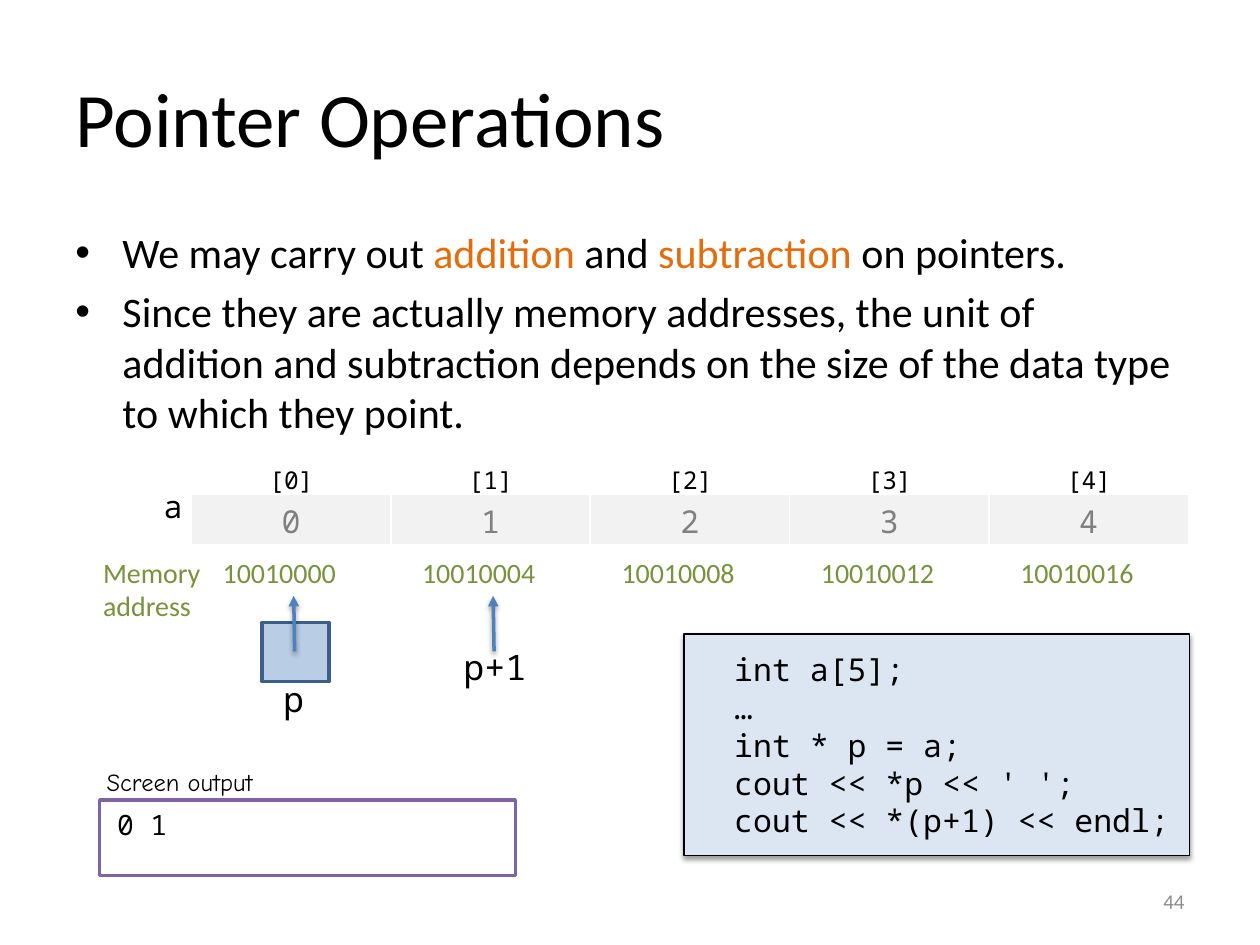
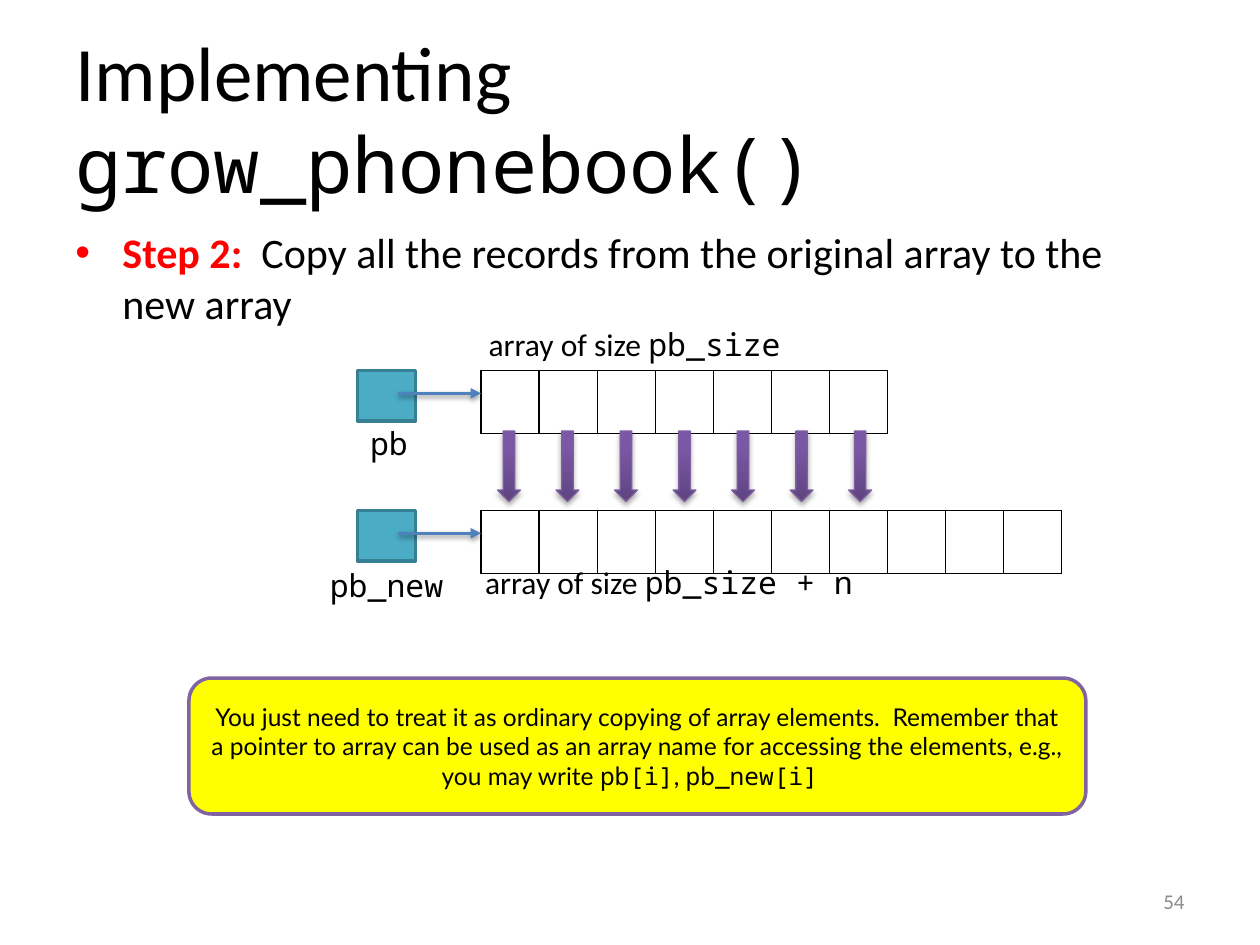
"""Builds two lecture slides on pointer operations and growing an array."""
from pptx import Presentation
from pptx.dml.color import RGBColor
from pptx.enum.shapes import MSO_CONNECTOR, MSO_SHAPE
from pptx.enum.text import MSO_ANCHOR, PP_ALIGN
from pptx.oxml import parse_xml
from pptx.oxml.ns import nsdecls
from pptx.util import Cm, Pt

RECT, ROUND, DOWN = MSO_SHAPE.RECTANGLE, MSO_SHAPE.ROUNDED_RECTANGLE, MSO_SHAPE.DOWN_ARROW
STRAIGHT = MSO_CONNECTOR.STRAIGHT
TOP, MIDDLE = MSO_ANCHOR.TOP, MSO_ANCHOR.MIDDLE
LEFT, CENTER, RIGHT = PP_ALIGN.LEFT, PP_ALIGN.CENTER, PP_ALIGN.RIGHT

SANS, MONO, HAND, NOTE = "Calibri", "Noto Sans Mono", "Comic Neue", "Lato"
BLACK, WHITE, GREY, PALE = "000000", "FFFFFF", "808080", "F2F2F2"
ORANGE, RED, GREEN, YELLOW = "E46C0A", "FF0000", "77933C", "FFFF00"
BLUE, PURPLE, PAGE_GREY = "4F81BD", "8064A2", "8B8B8B"

CODE_FONT = {"font": MONO}
KEYWORD = {"color": ORANGE}

POINTERS = {
    "title": ["Pointer Operations"],
    "body": [
        ["We may carry out ", ("addition", KEYWORD), " and ",
         ("subtraction", KEYWORD), " on pointers."],
        ["Since they are actually memory addresses, the unit of addition and subtraction "
         "depends on the size of the data type to which they point."],
    ],
    "page": "44",
}
VALUES = ["0", "1", "2", "3", "4"]
FIRST_ADDRESS, INT_SIZE = 10010000, 4
CODE = [
    "  int a[5];",
    "  …",
    "  int * p = a;",
    "  cout << *p << ' ';",
    "  cout << *(p+1) << endl;",
]

GROW = {
    "title": ["Implementing ", ("grow_phonebook()", CODE_FONT)],
    "body": [[("Step 2:  ", {"color": RED, "bold": True}),
              "Copy all the records from the original array to the new array"]],
    "page": "54",
}
OLD_SIZE, NEW_SIZE = 7, 10
ADVICE = [
    "You just need to treat it as ordinary copying of array elements.  Remember that a pointer "
    "to array can be used as an array name for accessing the elements, e.g., you may write ",
    ("pb[i]", CODE_FONT), ", ", ("pb_new[i] ", CODE_FONT),
]


def rgb(color):
    """Turn a hex string into a colour."""
    return RGBColor.from_string(color)


def write(tf, paragraphs, size=18, font=SANS, color=BLACK, align=LEFT, before=0, bullet=False):
    """Fill a text frame with paragraphs of plain or individually formatted runs."""
    for i, runs in enumerate(paragraphs):
        p = tf.paragraphs[0] if i == 0 else tf.add_paragraph()
        p.alignment = align
        if bullet:
            pPr = p._p.get_or_add_pPr()
            pPr.set("marL", str(Cm(0.95)))
            pPr.set("indent", str(-Cm(0.95)))
            pPr.append(parse_xml(f'<a:buFont {nsdecls("a")} typeface="Arial"/>'))
            pPr.append(parse_xml(f'<a:buChar {nsdecls("a")} char="•"/>'))
        p.space_before = Pt(before if i else 0)
        for run in [runs] if isinstance(runs, str) else runs:
            text, style = (run, {}) if isinstance(run, str) else run
            r = p.add_run()
            r.text = text
            r.font.size = Pt(size)
            r.font.name = style.get("font", font)
            r.font.bold = style.get("bold", False)
            r.font.color.rgb = rgb(style.get("color", color))


def add_text(slide, box, paragraphs, anchor=TOP, right=0.25, **style):
    """Add a wrapping text box."""
    tf = slide.shapes.add_textbox(*map(Cm, box)).text_frame
    tf.word_wrap = True
    tf.vertical_anchor = anchor
    tf.margin_right = Cm(right)
    write(tf, paragraphs, **style)


def add_label(slide, box, runs, **style):
    """Add a short label that needs no right margin."""
    add_text(slide, box, [runs], right=0, **style)


def add_box(slide, kind, box, fill, line, width=2):
    """Add a preset shape with a solid fill and an outline."""
    s = slide.shapes.add_shape(kind, *map(Cm, box))
    s.shadow.inherit = False
    s.fill.solid()
    s.fill.fore_color.rgb = rgb(fill)
    s.line.color.rgb = rgb(line)
    s.line.width = Pt(width)
    s.text_frame.word_wrap = True
    s.text_frame.vertical_anchor = MIDDLE
    return s


def add_shadow(s, alpha=38, distance=1.6):
    """Give an outlined shape a soft shadow below it."""
    spPr = s._element.spPr
    for old in spPr.xpath("a:effectLst"):
        spPr.remove(old)
    spPr.append(parse_xml(
        f'<a:effectLst {nsdecls("a")}><a:outerShdw blurRad="{Pt(3.1)}" dist="{Pt(distance)}" '
        f'dir="5400000" rotWithShape="0"><a:srgbClr val="{BLACK}">'
        f'<a:alpha val="{alpha * 1000}"/></a:srgbClr></a:outerShdw></a:effectLst>'))


def add_arrow(slide, *ends):
    """Draw a blue pointer arrow from one point to another."""
    s = slide.shapes.add_connector(STRAIGHT, *map(Cm, ends))
    s.line.color.rgb = rgb(BLUE)
    s.line.width = Pt(2)
    s.line._get_or_add_ln().append(parse_xml(f'<a:tailEnd {nsdecls("a")} type="triangle"/>'))
    add_shadow(s)


def add_array(slide, left, top, cell_width, height, values, border, fill=None):
    """Draw an array as a one-row table."""
    size = len(values)
    table = slide.shapes.add_table(
        1, size, Cm(left), Cm(top), Cm(cell_width * size), Cm(height)).table
    table.first_row = table.horz_banding = False
    for column, cell, value in zip(table.columns, table.rows[0].cells, values):
        column.width = Cm(cell_width)
        tcPr = cell._tc.get_or_add_tcPr()
        for side in "LRTB":
            tcPr.append(parse_xml(
                f'<a:ln{side} {nsdecls("a")} w="{Pt(1)}"><a:solidFill>'
                f'<a:srgbClr val="{border}"/></a:solidFill></a:ln{side}>'))
        if fill:
            cell.fill.solid()
            cell.fill.fore_color.rgb = rgb(fill)
        else:
            cell.fill.background()
        if value:
            write(cell.text_frame, [value], font=MONO, color=GREY, align=CENTER)


def add_slide(prs, content):
    """Add a slide with its title, bullets and page number."""
    slide = prs.slides.add_slide(prs.slide_layouts[6])
    add_text(slide, (1.27, 0.76, 22.86, 3.18), [content["title"]], anchor=MIDDLE, size=44)
    add_text(slide, (1.27, 4.45, 22.86, 12.57), content["body"],
             size=24, before=4.8, bullet=True)
    add_text(slide, (18.21, 17.65, 5.92, 1.02), [content["page"]],
             anchor=MIDDLE, size=12, color=PAGE_GREY, align=RIGHT)
    return slide


def build_pointers(prs):
    """Show an array in memory, two pointers into it, and the code."""
    slide = add_slide(prs, POINTERS)
    left, cell = 3.86, 4.02
    add_array(slide, left, 9.96, cell, 1.02, VALUES, WHITE, PALE)
    add_label(slide, (3.05, 9.7, 0.89, 1.02), "a", font=MONO)
    for i in range(len(VALUES)):
        x = left + i * cell
        add_label(slide, (x + 1.32, 9.25, 1.4, 0.84), f"[{i}]", size=14, font=MONO)
        add_label(slide, (x + 0.38, 11.07, 3.38, 0.91), str(FIRST_ADDRESS + i * INT_SIZE),
                  size=16, color=GREEN)
    add_label(slide, (1.83, 11.07, 2.97, 1.6), "Memory address", size=16, color=GREEN)

    s = add_box(slide, RECT, (13.79, 12.78, 10.19, 4.47), "DCE6F2", BLACK, 0.75)
    add_shadow(s)
    write(s.text_frame, CODE, font=MONO)

    add_box(slide, RECT, (2.01, 16.13, 8.38, 1.52), WHITE, PURPLE)
    add_label(slide, (1.9, 15.34, 5.66, 0.84), "Screen output", size=14, font=HAND)
    add_label(slide, (2.11, 16.15, 7.32, 0.91), "0 1", size=16, font=MONO)

    add_box(slide, RECT, (5.28, 12.55, 1.35, 1.19), "B9CDE5", "3A5F8C")
    add_label(slide, (5.46, 13.54, 0.91, 1.09), "p", size=20, font=MONO)
    add_label(slide, (9.09, 12.88, 1.78, 1.09), "p+1", size=20, font=MONO)
    for x in (5.94, 5.94 + cell):
        add_arrow(slide, x, 13.13, x - 0.02, 12.01)


def build_grow(prs):
    """Show records being copied from the old array to the larger one."""
    slide = add_slide(prs, GROW)
    left, cell = 9.7, 1.17
    for top, size in ((7.47, OLD_SIZE), (10.29, NEW_SIZE)):
        add_array(slide, left, top, cell, 1.27, [""] * size, BLACK)
        add_box(slide, RECT, (7.21, top, cell, 1.02), "4BACC6", "377F92")
        add_arrow(slide, 8.03, top + 0.46, left, top + 0.46)
    add_label(slide, (7.21, 8.43, 1.27, 1.02), "pb", font=MONO)
    add_label(slide, (6.4, 11.28, 2.79, 1.02), "pb_new", font=MONO)
    add_label(slide, (9.6, 6.43, 7.29, 1.02), ["array of size ", ("pb_size", CODE_FONT)])
    add_label(slide, (9.53, 11.23, 8.81, 1.02), ["array of size ", ("pb_size + n", CODE_FONT)])

    for i in range(OLD_SIZE):
        s = add_box(slide, DOWN, (10.03 + i * 1.18, 8.69, 0.46, 1.42), PURPLE, "7D5FA0", 0.75)
        s.fill.gradient()
        s.fill.gradient_angle = 90
        for stop, (position, color) in zip(s.fill.gradient_stops,
                                           ((0, "5F4480"), (0.8, "7B58A6"))):
            stop.position = position
            stop.color.rgb = rgb(color)
        add_shadow(s, 35, 1.8)

    s = add_box(slide, ROUND, (3.81, 13.67, 18.08, 2.74), YELLOW, PURPLE)
    write(s.text_frame, [ADVICE], size=14, font=NOTE, align=CENTER)


def main():
    """Build and save the presentation."""
    prs = Presentation()
    prs.slide_width, prs.slide_height = Cm(25.4), Cm(19.05)
    build_pointers(prs)
    build_grow(prs)
    prs.save("out.pptx")


if __name__ == "__main__":
    main()
